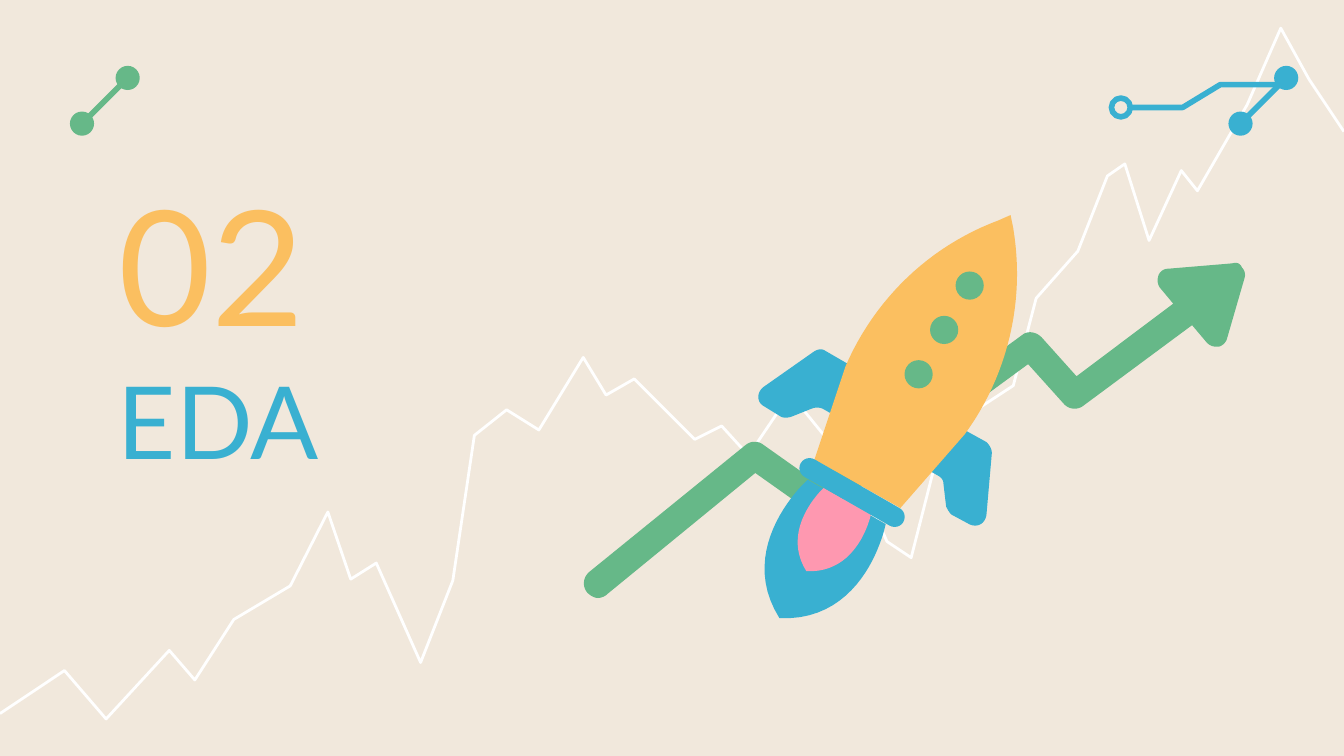
from pptx import Presentation
from pptx.dml.color import RGBColor
from pptx.enum.shapes import MSO_CONNECTOR, MSO_SHAPE
from pptx.enum.text import MSO_ANCHOR, PP_ALIGN
from pptx.oxml.ns import qn
from pptx.util import Inches, Pt
from lxml import etree

STRAIGHT = MSO_CONNECTOR.STRAIGHT
OVAL = MSO_SHAPE.OVAL
ROUNDED = MSO_SHAPE.ROUNDED_RECTANGLE
MIDDLE = MSO_ANCHOR.MIDDLE
LEFT = PP_ALIGN.LEFT


class Theme:
    sand = RGBColor.from_string("F1E8DC")
    white = RGBColor.from_string("FFFFFF")
    green = RGBColor.from_string("66B888")
    blue = RGBColor.from_string("39B0D1")
    orange = RGBColor.from_string("FBBF60")
    pink = RGBColor.from_string("FE98B0")
    font = "Lato"
    number_size = Pt(86)
    title_size = Pt(54)
    trend_width = Pt(1.5)
    link_width = Pt(3)


CURVE_STEPS = 24


def paint(shape, fill=None, line=None, width=None):
    shape.shadow.inherit = False
    if fill is None:
        shape.fill.background()
    else:
        shape.fill.solid()
        shape.fill.fore_color.rgb = fill
    if line is None:
        shape.line.fill.background()
    else:
        shape.line.color.rgb = line
        shape.line.width = width


def draw_outline(shapes, segments, close=True):
    points = []
    for segment in segments:
        if len(segment) == 2:
            points.append(segment)
            continue
        x0, y0 = points[-1]
        x1, y1, x2, y2, x3, y3 = segment
        for step in range(1, CURVE_STEPS + 1):
            t = step / CURVE_STEPS
            u = 1 - t
            a, b, c, d = u**3, 3 * u * u * t, 3 * u * t * t, t**3
            points.append((a * x0 + b * x1 + c * x2 + d * x3, a * y0 + b * y1 + c * y2 + d * y3))
    corners = [(Inches(x), Inches(y)) for x, y in points]
    builder = shapes.build_freeform(*corners[0])
    builder.add_line_segments(corners[1:], close=close)
    return builder.convert_to_shape()


presentation = Presentation()
presentation.slide_width = Inches(10)
presentation.slide_height = Inches(10) * 9 // 16
slide = presentation.slides.add_slide(presentation.slide_layouts[6])
shapes = slide.shapes
slide.background.fill.solid()
slide.background.fill.fore_color.rgb = Theme.sand

trend = [
    (0, 5.31), (0.48, 4.99), (0.79, 5.35), (1.26, 4.84), (1.45, 5.06), (1.74, 4.61),
    (2.16, 4.36), (2.44, 3.81), (2.61, 4.31), (2.8, 4.19), (3.13, 4.93), (3.37, 4.32),
    (3.53, 3.24), (3.77, 3.05), (4.01, 3.2), (4.34, 2.66), (4.51, 2.94), (4.72, 2.82),
    (5.17, 3.27), (5.37, 3.17), (5.57, 3.39), (5.88, 2.93), (6.4, 3.57), (6.6, 4.03),
    (6.78, 4.15), (7.02, 3.21), (7.54, 2.87), (7.71, 2.22), (8.02, 1.87), (8.24, 1.31),
    (8.37, 1.22), (8.55, 1.79), (8.79, 1.27), (8.91, 1.42), (9.28, 0.78), (9.53, 0.21),
    (9.74, 0.59), (10, 0.98),
]
paint(draw_outline(shapes, trend, close=False), line=Theme.white, width=Theme.trend_width)

blue_link = [(8.42, 0.8), (8.8, 0.8), (9.08, 0.63), (9.52, 0.63)]
paint(draw_outline(shapes, blue_link, close=False), line=Theme.blue, width=Theme.link_width)
ring = shapes.add_shape(OVAL, Inches(8.27), Inches(0.73), Inches(0.14), Inches(0.14))
paint(ring, line=Theme.blue, width=Theme.link_width)

dot_size = 0.18
for left, color in [(0.61, Theme.green), (9.23, Theme.blue)]:
    ends = [(left, 0.92), (left + 0.34, 0.58)]
    (start_x, start_y), (end_x, end_y) = ends
    link = shapes.add_connector(
        STRAIGHT, Inches(start_x), Inches(start_y), Inches(end_x), Inches(end_y)
    )
    link.line.color.rgb = color
    link.line.width = Theme.link_width
    etree.SubElement(link._element.spPr, qn("a:effectLst"))
    for x, y in ends:
        dot = shapes.add_shape(
            OVAL, Inches(x - dot_size / 2), Inches(y - dot_size / 2),
            Inches(dot_size), Inches(dot_size),
        )
        paint(dot, color)

for text, top, width, height, size, color in [
    ("EDA", 2.57, 5.46, 1.09, Theme.title_size, Theme.blue),
    ("02", 1.34, 3.61, 1.23, Theme.number_size, Theme.orange),
]:
    box = shapes.add_textbox(Inches(0.78), Inches(top), Inches(width), Inches(height))
    frame = box.text_frame
    frame.word_wrap = True
    frame.vertical_anchor = MIDDLE
    frame.margin_left = frame.margin_right = Inches(0.1)
    frame.margin_top = frame.margin_bottom = Inches(0.1)
    paragraph = frame.paragraphs[0]
    paragraph.alignment = LEFT
    run = paragraph.add_run()
    run.text = text
    run.font.name = Theme.font
    run.font.size = size
    run.font.color.rgb = color

growth_arrow = [
    (9.24, 1.99), (9.23, 1.96, 9.2, 1.95, 9.17, 1.96), (8.69, 2),
    (8.66, 2, 8.63, 2.02, 8.62, 2.05), (8.61, 2.08, 8.61, 2.11, 8.63, 2.14),
    (8.73, 2.26), (8.01, 2.8), (7.75, 2.51), (7.71, 2.47, 7.65, 2.46, 7.61, 2.49),
    (6.09, 3.6), (5.68, 3.31), (5.64, 3.28, 5.59, 3.28, 5.55, 3.31), (4.38, 4.26),
    (4.34, 4.3, 4.33, 4.36, 4.37, 4.41), (4.39, 4.43, 4.42, 4.45, 4.45, 4.45),
    (4.47, 4.45, 4.5, 4.44, 4.52, 4.42), (5.62, 3.52), (6.03, 3.81),
    (6.06, 3.84, 6.11, 3.84, 6.15, 3.81), (7.65, 2.71), (7.92, 3.01),
    (7.96, 3.05, 8.02, 3.05, 8.06, 3.02), (8.87, 2.42), (8.98, 2.55),
    (9, 2.57, 9.02, 2.58, 9.05, 2.58), (9.07, 2.58),
    (9.1, 2.57, 9.12, 2.55, 9.13, 2.52), (9.26, 2.07),
    (9.27, 2.04, 9.26, 2.01, 9.24, 1.99),
]
left_fin = [
    (6.14, 2.61), (6.11, 2.59, 6.08, 2.6, 6.05, 2.62), (5.68, 2.88),
    (5.63, 2.92, 5.63, 2.99, 5.68, 3.02), (5.81, 3.1),
    (5.83, 3.11, 5.86, 3.11, 5.89, 3.1), (6.04, 3.04),
    (6.07, 3.03, 6.09, 3.03, 6.12, 3.04), (6.33, 3.16), (6.52, 2.83),
]
right_fin = [
    (6.96, 3.08), (6.77, 3.42), (6.98, 3.54), (7, 3.55, 7.02, 3.57, 7.02, 3.6),
    (7.04, 3.77), (7.05, 3.79, 7.06, 3.81, 7.08, 3.83), (7.21, 3.9),
    (7.27, 3.93, 7.33, 3.9, 7.34, 3.83), (7.38, 3.37),
    (7.38, 3.34, 7.36, 3.31, 7.34, 3.29),
]
body = [
    (7.52, 1.6), (7.43, 1.64), (6.92, 1.83, 6.51, 2.22, 6.29, 2.73), (6.06, 3.42),
    (6.7, 3.78), (7.18, 3.23), (7.5, 2.79, 7.63, 2.24, 7.54, 1.7),
]
outer_flame = [
    (6.01, 3.57), (6.01, 3.57, 5.46, 4.06, 5.8, 4.6), (6.45, 4.63, 6.59, 3.9, 6.59, 3.9),
]
inner_flame = [
    (6.13, 3.63), (6.13, 3.63, 5.8, 3.93, 6, 4.25), (6.39, 4.27, 6.48, 3.83, 6.48, 3.83),
]
for segments, color in [
    (growth_arrow, Theme.green),
    (left_fin, Theme.blue),
    (right_fin, Theme.blue),
    (body, Theme.orange),
    (outer_flame, Theme.blue),
    (inner_flame, Theme.pink),
]:
    paint(draw_outline(shapes, segments), color)

collar = shapes.add_shape(ROUNDED, Inches(5.9), Inches(3.59), Inches(0.88), Inches(0.15))
collar.adjustments[0] = 0.5
collar.rotation = 29.8
paint(collar, Theme.blue)

for index in range(3):
    window = shapes.add_shape(
        OVAL, Inches(7.11 - 0.19 * index), Inches(2.02 + 0.33 * index),
        Inches(0.21), Inches(0.21),
    )
    paint(window, Theme.green)

presentation.save("out.pptx")
